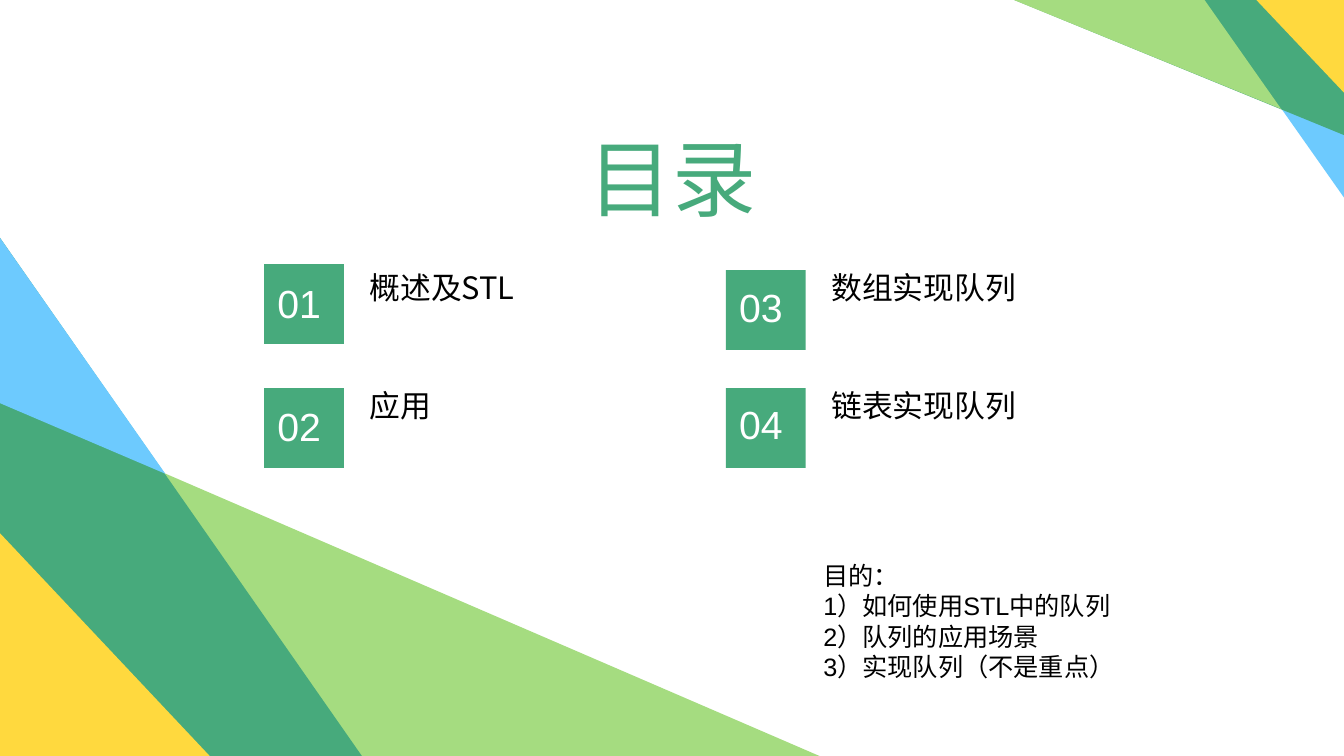
from lxml.etree import SubElement
from pptx import Presentation
from pptx.dml.color import RGBColor as Rgb
from pptx.enum.shapes import MSO_SHAPE as Kind
from pptx.enum.text import MSO_AUTO_SIZE as Auto, PP_ALIGN as Align
from pptx.oxml.ns import qn
from pptx.util import Pt

HUES = {
    "lime": "A5DC80",
    "green": "47AA7C",
    "gold": "FFD93E",
    "sky": "6DCAFE",
    "black": "000000",
    "white": "FFFFFF",
}
WIDE, HIGH = 960, 540
HAN = "Noto Sans CJK SC"
LATIN = "Arial"
SIDE = 57

LOW = [("lime", 585.4, 252.7), ("green", 258.5, 370.1), ("gold", 149.8, 159.1)]
TOP = [("sky", 99.4, 141.1), ("green", 235.4, 96.5), ("gold", 62.6, 66.2)]

ITEMS = [
    ("01", "概述及STL", 188.6, 188.6, 188.6, 195.8),
    ("02", "应用", 188.6, 272.9, 277.2, 283.7),
    ("03", "数组实现队列", 518.4, 188.6, 193, 198.7),
    ("04", "链表实现队列", 518.4, 272.9, 277.2, 282.2),
]
GOALS = ["目的：", "1）如何使用STL中的队列", "2）队列的应用场景", "3）实现队列（不是重点）"]


def paint(shape, hue):
    shape.shadow.inherit = False
    shape.fill.solid()
    shape.fill.fore_color.rgb = Rgb.from_string(HUES[hue])
    shape.line.fill.background()


def add_box(slide, kind, hue, left, top, width, height, turn=0):
    shape = slide.shapes.add_shape(kind, Pt(left), Pt(top), Pt(width), Pt(height))
    shape.rotation = turn
    paint(shape, hue)


def add_shard(slide, hue, points):
    first, *rest = [(Pt(x), Pt(y)) for x, y in points]
    outline = slide.shapes.build_freeform(*first)
    outline.add_line_segments(rest)
    paint(outline.convert_to_shape(), hue)


def add_text(slide, lines, left, top, width, height, size=18, font=HAN,
             hue="black", align=Align.LEFT):
    box = slide.shapes.add_textbox(Pt(left), Pt(top), Pt(width), Pt(height))
    frame = box.text_frame
    frame.word_wrap = True
    frame.auto_size = Auto.SHAPE_TO_FIT_TEXT
    for place, line in enumerate(lines):
        para = frame.add_paragraph() if place else frame.paragraphs[0]
        para.alignment = align
        run = para.add_run()
        run.text = line
        run.font.size = Pt(size)
        run.font.name = font
        run.font.color.rgb = Rgb.from_string(HUES[hue])
        SubElement(run._r.get_or_add_rPr(), qn("a:ea"), typeface=HAN)


def add_item(slide, number, label, left, label_top, box_top, number_top):
    add_text(slide, [label], left + 68.4, label_top, 234.7, 33.8, size=22)
    add_box(slide, Kind.RECTANGLE, "green", left, box_top, SIDE, SIDE)
    add_text(slide, [number], left + 2.5, number_top, 51, 41,
             size=28, font=LATIN, hue="white")


def add_corners(slide):
    for hue, width, height in LOW:
        add_box(slide, Kind.RIGHT_TRIANGLE, hue, 0, HIGH - height, width, height)
    add_shard(slide, "sky", [(0, 169.9), (0, 288), (118.1, 338.4)])
    for hue, width, height in TOP:
        add_box(slide, Kind.RIGHT_TRIANGLE, hue, WIDE - width, 0, width, height, turn=180)
    add_shard(slide, "lime", [(724.3, 0), (915.1, 77.8), (860.4, 0)])


def main():
    deck = Presentation()
    deck.slide_width, deck.slide_height = Pt(WIDE), Pt(HIGH)
    slide = deck.slides.add_slide(deck.slide_layouts[6])
    add_corners(slide)
    add_text(slide, ["目录"], -5, 87.1, 970.6, 79.9, size=60, hue="green",
             align=Align.CENTER)
    for item in ITEMS:
        add_item(slide, *item)
    add_text(slide, GOALS, 581, 396.7, 365, 94.3, font=LATIN)
    deck.save("out.pptx")


if __name__ == "__main__":
    main()
